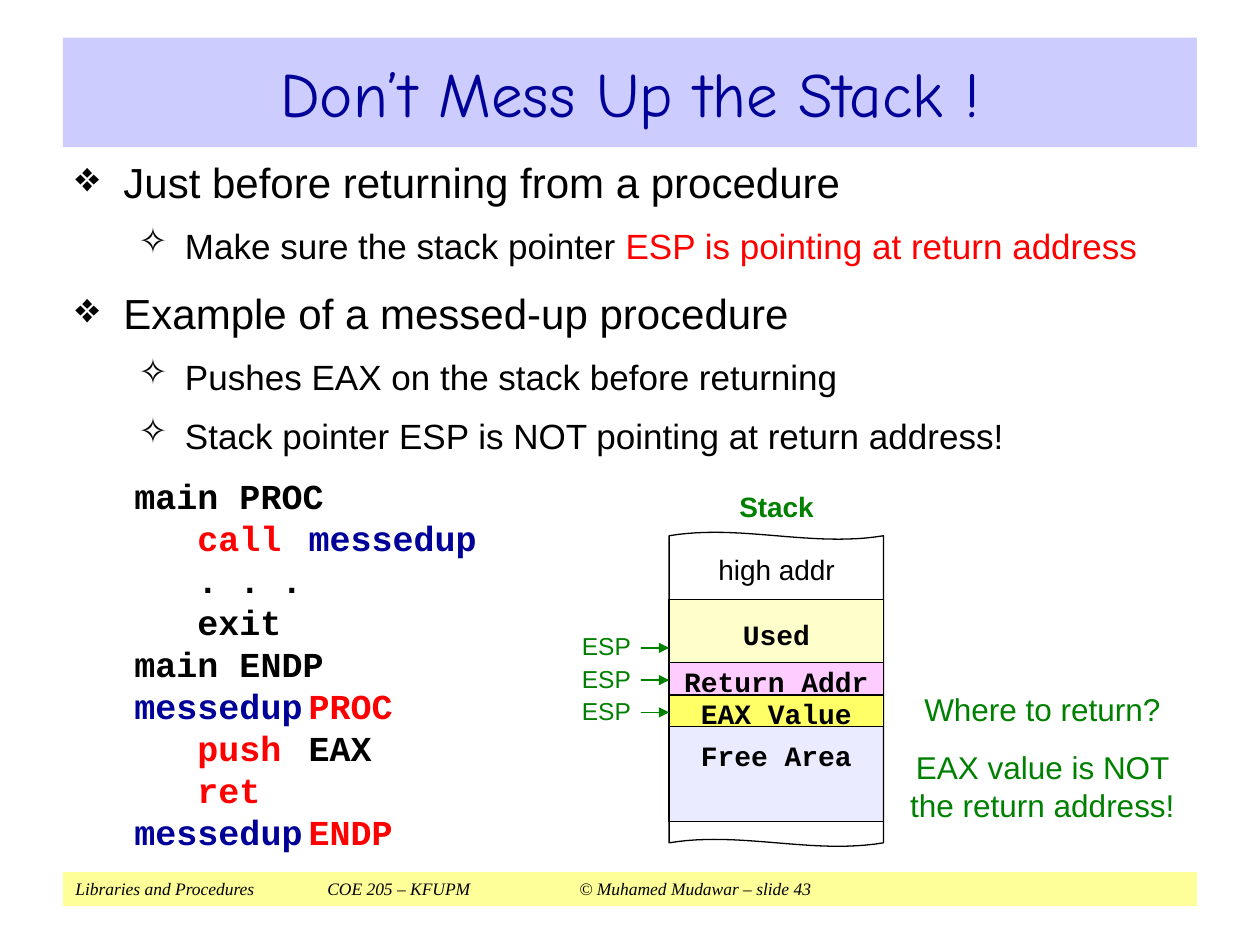
from dataclasses import dataclass
from typing import NamedTuple

from lxml.etree import SubElement
from pptx import Presentation
from pptx.dml.color import RGBColor
from pptx.enum.shapes import MSO_CONNECTOR as Connector
from pptx.enum.shapes import MSO_SHAPE as Preset
from pptx.enum.text import MSO_ANCHOR as Anchor
from pptx.enum.text import PP_ALIGN as Align
from pptx.oxml.ns import qn
from pptx.util import Cm, Pt

BLACK, RED, NAVY, GREEN = "000000", "FF0000", "000099", "008000"
SANS, MONO = "Arial", "Courier New"
STACK_LEFT, STACK_WIDTH = 13.49, 4.32
WAVE_STEPS = 24


class Box(NamedTuple):
    left: float
    top: float
    width: float
    height: float

    def lengths(self) -> list:
        return [Cm(side) for side in self]


class Span(NamedTuple):
    text: str
    color: str = BLACK


@dataclass
class Bullet:
    mark: str
    margin: float
    hanging: float
    size: int
    before: int


@dataclass
class Line:
    spans: list
    bullet: Bullet | None = None


@dataclass
class StackCell:
    text: str
    top: float
    height: float
    fill: str
    inset_top: float = 0.11


TOPIC = Bullet("❖", 0.97, 0.97, 24, 12)
DETAIL = Bullet("✧", 2.21, 0.94, 20, 10)


def hex_color(value: str) -> RGBColor:
    return RGBColor.from_string(value)


def add_bullet(paragraph, bullet: Bullet) -> None:
    props = paragraph._p.get_or_add_pPr()
    props.set("marL", str(Cm(bullet.margin)))
    props.set("indent", str(-Cm(bullet.hanging)))
    tint = SubElement(props, qn("a:buClr"))
    SubElement(tint, qn("a:srgbClr"), val=BLACK)
    SubElement(props, qn("a:buChar"), char=bullet.mark)


def add_tabs(paragraph, stops: tuple) -> None:
    tab_list = SubElement(paragraph._p.get_or_add_pPr(), qn("a:tabLst"))
    for stop in stops:
        SubElement(tab_list, qn("a:tab"), pos=str(Cm(stop)), algn="l")


def write(shape, lines: list, *, size=16, font=SANS, bold=False, italic=False,
          align=Align.LEFT, anchor=Anchor.TOP, insets=(0, 0, 0, 0),
          before=0, tabs=(), exact=True) -> None:
    frame = shape.text_frame
    frame.word_wrap = True
    frame.vertical_anchor = anchor
    (frame.margin_left, frame.margin_top,
     frame.margin_right, frame.margin_bottom) = [Cm(inset) for inset in insets]
    for index, line in enumerate(lines):
        paragraph = frame.add_paragraph() if index else frame.paragraphs[0]
        bullet = line.bullet
        if bullet:
            add_bullet(paragraph, bullet)
        if tabs:
            add_tabs(paragraph, tabs)
        points = bullet.size if bullet else size
        paragraph.alignment = align
        if exact:
            paragraph.line_spacing = Pt(1.2 * points)
        if index:
            paragraph.space_before = Pt(bullet.before if bullet else before)
        for span in line.spans:
            run = paragraph.add_run()
            run.text = span.text
            run.font.name = font
            run.font.size = Pt(points)
            run.font.bold = bold
            run.font.italic = italic
            run.font.color.rgb = hex_color(span.color)


def add_panel(slide, box: Box, fill: str, outlined: bool = False):
    panel = slide.shapes.add_shape(Preset.RECTANGLE, *box.lengths())
    panel.shadow.inherit = False
    panel.fill.solid()
    panel.fill.fore_color.rgb = hex_color(fill)
    if outlined:
        panel.line.color.rgb = hex_color(BLACK)
        panel.line.width = Pt(0.75)
    else:
        panel.line.fill.background()
    return panel


def add_label(slide, box: Box, lines: list, **text_format) -> None:
    write(slide.shapes.add_textbox(*box.lengths()), lines, **text_format)


def add_cell(slide, cell: StackCell) -> None:
    panel = add_panel(slide, Box(STACK_LEFT, cell.top, STACK_WIDTH, cell.height),
                      cell.fill, outlined=True)
    write(panel, [Line([Span(cell.text)])], font=MONO, bold=True,
          align=Align.CENTER, anchor=Anchor.MIDDLE,
          insets=(0, cell.inset_top, 0, 0))


def wave_edge(level: float) -> list:
    points = []
    for step in range(WAVE_STEPS + 1):
        t = step / WAVE_STEPS
        rise = 0.72 * t * (1 - t) * (2 * t - 1)
        points.append((Cm(STACK_LEFT + STACK_WIDTH * t), Cm(level + rise)))
    return points


def add_torn_outline(slide, top: float, bottom: float) -> None:
    start, *rest = wave_edge(top) + wave_edge(bottom)[::-1]
    builder = slide.shapes.build_freeform(*start, scale=1.0)
    builder.add_line_segments(rest, close=True)
    outline = builder.convert_to_shape()
    outline.shadow.inherit = False
    outline.fill.background()
    outline.line.color.rgb = hex_color(BLACK)
    outline.line.width = Pt(0.75)


def add_pointer(slide, top: float) -> None:
    level = Cm(top + 0.33)
    arrow = slide.shapes.add_connector(
        Connector.STRAIGHT, Cm(12.93), level, Cm(STACK_LEFT), level)
    arrow.line.color.rgb = hex_color(GREEN)
    arrow.line.width = Pt(0.75)
    SubElement(arrow.line._get_or_add_ln(), qn("a:tailEnd"), type="triangle")
    SubElement(arrow._element.spPr, qn("a:effectLst"))
    add_label(slide, Box(11.58, top, 1.14, 0.64), [Line([Span("ESP", GREEN)])],
              size=14, align=Align.RIGHT)


def main() -> None:
    deck = Presentation()
    deck.slide_width, deck.slide_height = Cm(25.4), Cm(19.05)
    slide = deck.slides.add_slide(deck.slide_layouts[6])
    padding = (0.25, 0.13, 0.25, 0.13)

    footer = "Libraries and Procedures\tCOE 205 – KFUPM\t© Muhamed Mudawar – slide 43"
    write(add_panel(slide, Box(1.27, 17.58, 22.86, 0.69), "FFFF99"),
          [Line([Span(footer)])], size=10, font="Times New Roman", italic=True,
          insets=padding, tabs=(5.08, 10.16))
    write(add_panel(slide, Box(1.27, 0.76, 22.86, 2.21), "CCCCFF"),
          [Line([Span("Don’t Mess Up the Stack !", NAVY)])], size=36,
          font="Comic Neue", align=Align.CENTER, anchor=Anchor.MIDDLE,
          insets=padding, exact=False)

    add_label(slide, Box(1.27, 3.02, 22.86, 6.5), [
        Line([Span("Just before returning from a procedure")], TOPIC),
        Line([Span("Make sure the stack pointer "),
              Span("ESP is pointing at return address", RED)], DETAIL),
        Line([Span("Example of a messed-up procedure")], TOPIC),
        Line([Span("Pushes EAX on the stack before returning")], DETAIL),
        Line([Span("Stack pointer ESP is NOT pointing at return address!")], DETAIL),
    ], insets=padding)

    write(add_panel(slide, Box(2.46, 9.37, 8.64, 8), "FFFFFF"), [
        Line([Span("main PROC")]),
        Line([Span("\tcall\t", RED), Span("messedup", NAVY)]),
        Line([Span("\t. . .")]),
        Line([Span("\texit")]),
        Line([Span("main ENDP")]),
        Line([Span("messedup\t", NAVY), Span("PROC", RED)]),
        Line([Span("\tpush\t", RED), Span("EAX")]),
        Line([Span("\tret", RED)]),
        Line([Span("messedup\t", NAVY), Span("ENDP", RED)]),
    ], size=20, font=MONO, bold=True, insets=(0.25, 0.2, 0.25, 0.13),
        tabs=(1.27, 3.51))

    add_cell(slide, StackCell("Free Area", 13.36, 3.2, "EBEBFF", 0.53))
    add_torn_outline(slide, 10.8, 16.99)
    for cell in (StackCell("Used", 12.09, 1.27, "FFFFCC"),
                 StackCell("Return Addr", 13.36, 0.64, "FFCCFF"),
                 StackCell("EAX Value", 14.01, 0.64, "FFFF66")):
        add_cell(slide, cell)
    add_label(slide, Box(13.61, 11.13, 4.09, 0.64), [Line([Span("high addr")])],
              align=Align.CENTER)
    add_label(slide, Box(13.61, 9.86, 4.09, 0.64), [Line([Span("Stack", GREEN)])],
              bold=True, align=Align.CENTER)
    for position in range(3):
        add_pointer(slide, 12.73 + 0.65 * position)

    add_label(slide, Box(17.98, 13.79, 6.07, 2.95), [
        Line([Span("Where to return?", GREEN)]),
        Line([Span("EAX value is NOT the return address!", GREEN)]),
    ], size=18, align=Align.CENTER, insets=padding, before=11.2)

    deck.save("out.pptx")


if __name__ == "__main__":
    main()
